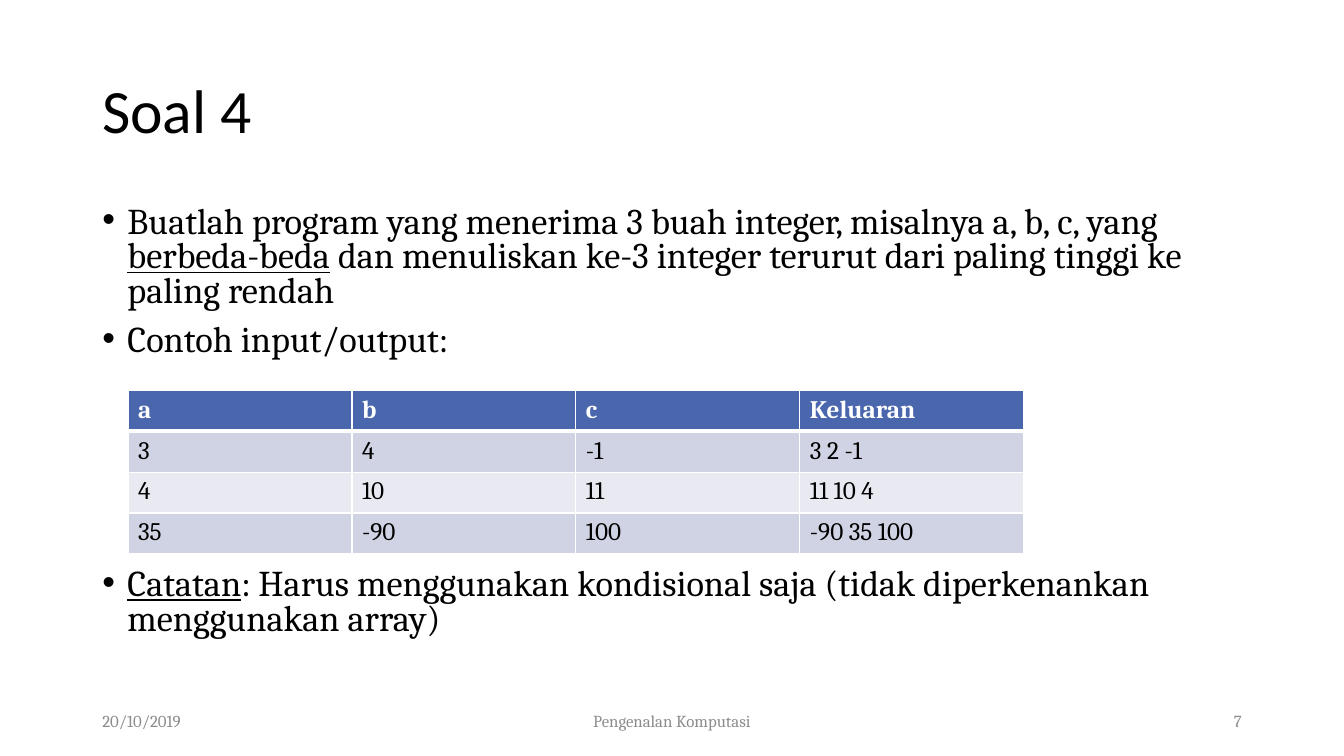
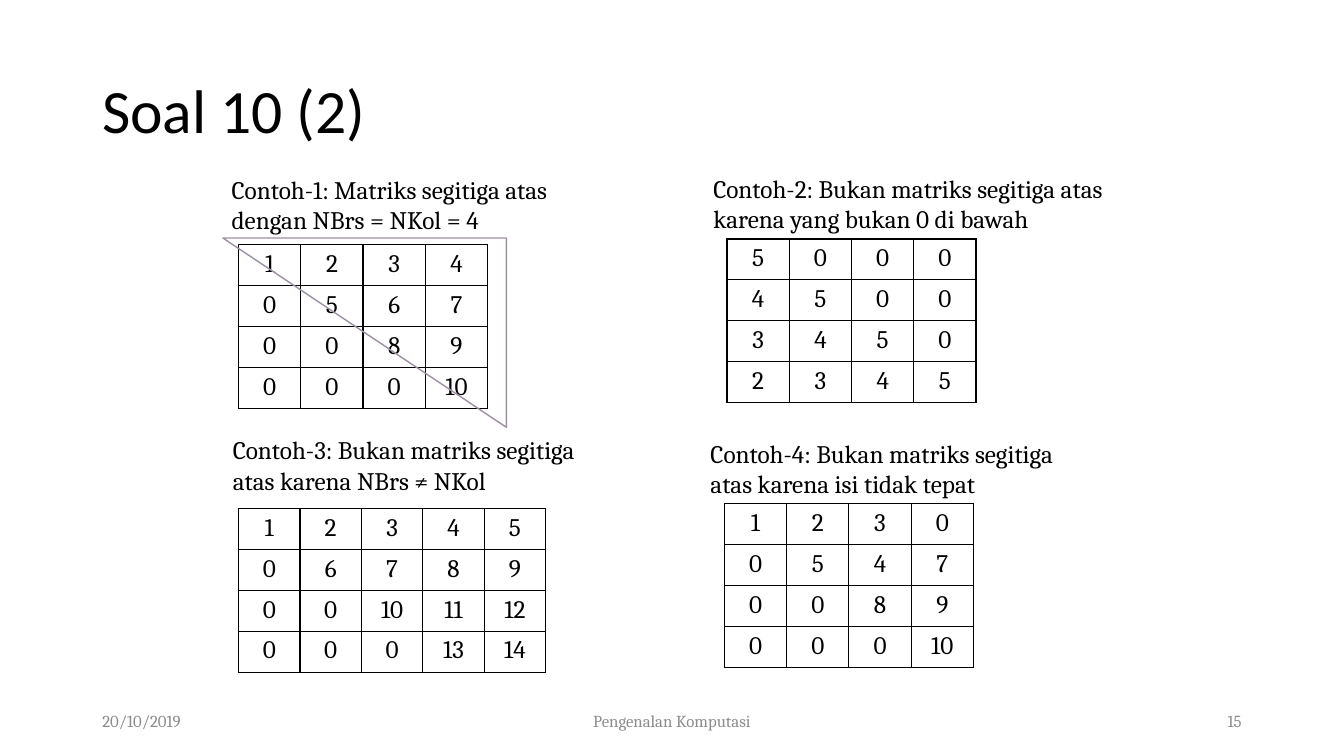
from pptx import Presentation
from pptx.dml.color import RGBColor
from pptx.enum import shapes, text
from pptx.oxml import parse_xml
from pptx.oxml.ns import nsdecls
from pptx.util import Pt

BLACK = RGBColor(0x00, 0x00, 0x00)
WHITE = RGBColor(0xFF, 0xFF, 0xFF)
GRAY = RGBColor(0x8C, 0x8C, 0x8C)
BLUE = RGBColor(0x4A, 0x66, 0xAC)
BAND = RGBColor(0xD0, 0xD3, 0xE3)
PALE = RGBColor(0xE9, 0xEA, 0xF1)
MAUVE = RGBColor(0x9D, 0x90, 0xA0)
LEFT, MID, RIGHT = text.PP_ALIGN.LEFT, text.PP_ALIGN.CENTER, text.PP_ALIGN.RIGHT
TOP, CENTER = text.MSO_ANCHOR.TOP, text.MSO_ANCHOR.MIDDLE
ROW = 29.2


def write(slide, box, words, size=18, font="Cambria", color=BLACK, align=LEFT, anchor=TOP):
    frame = slide.shapes.add_textbox(*map(Pt, box)).text_frame
    frame.word_wrap = True
    frame.vertical_anchor = anchor
    for i, runs in enumerate(words):
        para = frame.paragraphs[0] if i == 0 else frame.add_paragraph()
        para.alignment = align
        for part, under in runs:
            run = para.add_run()
            run.text = part
            look = {"size": Pt(size), "name": font, "underline": under}
            for key, value in look.items():
                setattr(run.font, key, value)
            run.font.color.rgb = color
    return frame


def grid(slide, left, top, wide, rows, edge, align, fills=None):
    count = len(rows[0])
    table = slide.shapes.add_table(len(rows), count, Pt(left), Pt(top),
                                   Pt(wide * count), Pt(ROW * len(rows))).table
    for col in table.columns:
        col.width = Pt(wide)
    for r, row in enumerate(rows):
        table.rows[r].height = Pt(ROW)
        head = fills is not None and r == 0
        for c, value in enumerate(row):
            cell = table.cell(r, c)
            cell.text = value
            para = cell.text_frame.paragraphs[0]
            para.alignment = align
            for key, item in {"size": Pt(18), "name": "Cambria", "bold": head}.items():
                setattr(para.font, key, item)
            para.font.color.rgb = WHITE if head else BLACK
            # Borders come before the fill; the header rule is thicker
            for side in "LRTB":
                thick = fills and (r, side) in ((0, "B"), (1, "T"))
                cell._tc.get_or_add_tcPr().append(parse_xml(
                    f'<a:ln{side} {nsdecls("a")} w="{Pt(3 if thick else 1)}"><a:solidFill>'
                    f'<a:srgbClr val="{edge}"/></a:solidFill></a:ln{side}>'))
            if fills:
                cell.fill.solid()
                cell.fill.fore_color.rgb = fills[r]
            else:
                cell.fill.background()


deck = Presentation()
deck.slide_width, deck.slide_height = Pt(960), Pt(540)

# Title and footer on both slides
pages = []
for title, number in (("Soal 4", "7"), ("Soal 10 (2)", "15")):
    page = deck.slides.add_slide(deck.slide_layouts[6])
    head = write(page, (66, 28.75, 828, 104.4), [[(title, False)]], 44, "Calibri", anchor=CENTER)
    head.paragraphs[0].line_spacing = 0.9
    for left, wide, note, align in ((66, 216, "20/10/2019", LEFT),
                                    (318, 324, "Pengenalan Komputasi", MID),
                                    (678, 216, number, RIGHT)):
        write(page, (left, 500.5, wide, 28.75), [[(note, False)]], 12,
              color=GRAY, align=align, anchor=CENTER)
    pages.append(page)
task, cases = pages

# Bullets, with room for the table before the last one
points = [
    [("Buatlah program yang menerima 3 buah integer, misalnya a, b, c, yang ", False),
     ("berbeda-beda", True),
     (" dan menuliskan ke-3 integer terurut dari paling tinggi ke paling rendah", False)],
    [("Contoh input/output:", False)],
    [("Catatan", True),
     (": Harus menggunakan kondisional saja (tidak diperkenankan menggunakan array)", False)],
]
body = write(task, (66, 143.75, 828, 342.7), points, 25.9)
for para, gap in zip(body.paragraphs, (10, 10, 149.4)):
    para.line_spacing = 0.8
    para.space_before = Pt(gap)
    props = para._p.get_or_add_pPr()
    props.set("marL", str(Pt(18)))
    props.set("indent", str(Pt(-18)))
    props.append(parse_xml(f'<a:buFont {nsdecls("a")} typeface="Arial"/>'))
    props.append(parse_xml(f'<a:buChar {nsdecls("a")} char="•"/>'))

# Input and output table
grid(task, 91.4, 278.9, 160, [
    ["a", "b", "c", "Keluaran"],
    ["3", "4", "-1", "3 2 -1"],
    ["4", "10", "11", "11 10 4"],
    ["35", "-90", "100", "-90 35 100"],
], WHITE, LEFT, [BLUE, BAND, PALE, BAND])

# Matrix examples: caption box, table corner, column width, caption, rows
samples = [
    ((158.4, 121, 254.2, 51), (170.4, 174.8), 44.5,
     "Contoh-1: Matriks segitiga atas dengan NBrs = NKol = 4",
     ["1 2 3 4", "0 5 6 7", "0 0 8 9", "0 0 0 10"]),
    ((502.4, 120.4, 298, 51), (519.3, 170.7), 44.5,
     "Contoh-2: Bukan matriks segitiga atas karena yang bukan 0 di bawah",
     ["5 0 0 0", "4 5 0 0", "3 4 5 0", "2 3 4 5"]),
    ((159.2, 306.9, 270, 51), (170.4, 363.3), 43.9,
     "Contoh-3: Bukan matriks segitiga atas karena NBrs ≠ NKol",
     ["1 2 3 4 5", "0 6 7 8 9", "0 0 10 11 12", "0 0 0 13 14"]),
    ((500.4, 309.4, 270, 51), (517.4, 359.9), 44.5,
     "Contoh-4: Bukan matriks segitiga atas karena isi tidak tepat",
     ["1 2 3 0", "0 5 4 7", "0 0 8 9", "0 0 0 10"]),
]
for box, spot, wide, label, rows in samples:
    grid(cases, *spot, wide, [row.split() for row in rows], BLACK, MID)
    write(cases, box, [[(label, False)]])

# Outline of the upper triangle
wedge = cases.shapes.add_shape(shapes.MSO_SHAPE.RIGHT_TRIANGLE,
                               Pt(159.2), Pt(170), Pt(202.5), Pt(135.2))
wedge.rotation = 180
wedge.shadow.inherit = False
wedge.fill.background()
wedge.line.color.rgb = MAUVE
wedge.line.width = Pt(1)

deck.save("out.pptx")
